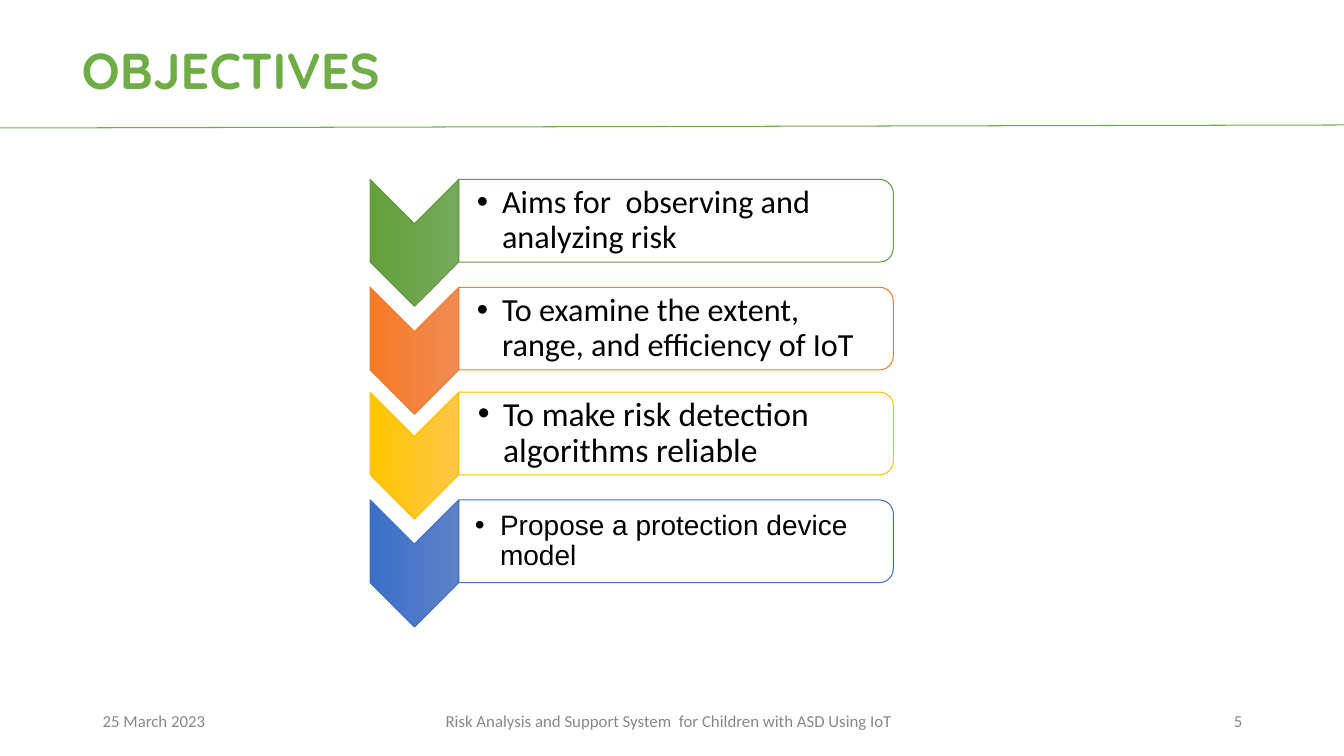
"""Build the Objectives slide: four chevron steps with their statements."""
from lxml.etree import SubElement
from pptx import Presentation
from pptx.dml.color import RGBColor
from pptx.enum.shapes import MSO_CONNECTOR, MSO_SHAPE
from pptx.enum.text import MSO_ANCHOR, PP_ALIGN
from pptx.oxml.ns import qn
from pptx.util import Inches, Pt

HEADING = "OBJECTIVES"
OBJECTIVES = [
    {"text": "Aims for  observing and analyzing risk", "top": 1.78, "size": 23,
     "font": "Calibri", "inset": 0.18, "tones": ("76A85B", "63A03A"), "edge": "659C40"},
    {"text": "To examine the extent, range, and efficiency of IoT", "top": 2.85, "size": 23,
     "font": "Calibri", "inset": 0.18, "tones": ("F08B54", "F67A26"), "edge": "ED7D31"},
    {"text": "To make risk detection algorithms reliable", "top": 3.89, "size": 24,
     "font": "Calibri", "inset": 0.19, "tones": ("FFC647", "FFC600"), "edge": "FFC000"},
    {"text": "Propose a protection device model", "top": 4.96, "size": 20,
     "font": "Arial", "inset": 0.16, "tones": ("5E81C9", "3B70C9"), "edge": "4372C3"},
]
FOOTERS = [
    ("25 March 2023", 0.92, 3, PP_ALIGN.LEFT),
    ("Risk Analysis and Support System  for Children with ASD Using IoT", 3.67, 5.93,
     PP_ALIGN.CENTER),
    ("5", 9.42, 3, PP_ALIGN.RIGHT),
]
THEME = {"accent": "70AD47", "text": "000000", "muted": "888888", "panel": "FFFFFF",
         "heading_font": "Quicksand", "body_font": "Calibri",
         "heading_size": 36, "footer_size": 12, "line": 0.75}
SLIDE_W, SLIDE_H = 13.33, 7.5
CHEVRON_LEFT, CHEVRON_W, CHEVRON_H = 3.67, 0.88, 1.26
PANEL_LEFT, PANEL_W, PANEL_H = CHEVRON_LEFT + CHEVRON_W, 4.31, 0.82
STATEMENT_W, STATEMENT_H = 4.27, 0.74
FOOTER_TOP, FOOTER_H = 6.95, 0.4


def place(part, left, top, width, height):
    part.left, part.top = Inches(left), Inches(top)
    part.width, part.height = Inches(width), Inches(height)


def write(holder, text, *, size, font, color, bold=False, align=PP_ALIGN.LEFT,
          anchor=MSO_ANCHOR.MIDDLE, insets=(0.1, 0.05, 0.1, 0.05), bullet=False):
    frame = holder.text_frame
    frame.word_wrap = True
    frame.vertical_anchor = anchor
    (frame.margin_left, frame.margin_top,
     frame.margin_right, frame.margin_bottom) = map(Inches, insets)
    paragraph = frame.paragraphs[0]
    paragraph.alignment = align
    run = paragraph.add_run()
    run.text = text
    run.font.size, run.font.name, run.font.bold = Pt(size), font, bold
    run.font.color.rgb = RGBColor.from_string(color)
    if bullet:
        paragraph.line_spacing = 0.9
        properties = paragraph.alignment is not None and paragraph._p.get_or_add_pPr()
        properties.set("marL", str(Inches(0.25)))
        properties.set("indent", str(-Inches(0.25)))
        SubElement(properties, qn("a:buFont"), typeface="Arial")
        SubElement(properties, qn("a:buChar"), char="•")


def add_turned(group, preset, left, top, width, height, edge):
    """Add a preset turned a quarter clockwise that covers the given area."""
    shift = (width - height) / 2
    turned = group.shapes.add_shape(
        preset, Inches(left + shift), Inches(top - shift), Inches(height), Inches(width))
    turned.rotation = 90
    turned.shadow.inherit = False
    turned.line.color.rgb = RGBColor.from_string(edge)
    turned.line.width = Pt(THEME["line"])
    return turned


def add_objective(slide, objective):
    group = slide.shapes.add_group_shape()
    top, edge = objective["top"], objective["edge"]

    chevron = add_turned(group, MSO_SHAPE.CHEVRON, CHEVRON_LEFT, top,
                         CHEVRON_W, CHEVRON_H, edge)
    chevron.adjustments[0] = 0.5
    chevron.fill.gradient()
    chevron.fill.gradient_angle = 270
    for stop, tone in zip(chevron.fill.gradient_stops, objective["tones"]):
        stop.color.rgb = RGBColor.from_string(tone)

    panel = add_turned(group, MSO_SHAPE.ROUND_2_SAME_RECTANGLE, PANEL_LEFT, top,
                       PANEL_W, PANEL_H, edge)
    panel.adjustments[0], panel.adjustments[1] = 0.167, 0
    panel.fill.solid()
    panel.fill.fore_color.rgb = RGBColor.from_string(THEME["panel"])
    panel_color = panel._element.spPr.find(qn("a:solidFill")).find(qn("a:srgbClr"))
    SubElement(panel_color, qn("a:alpha"), val="90000")

    statement = group.shapes.add_textbox(
        Inches(PANEL_LEFT), Inches(top + (PANEL_H - STATEMENT_H) / 2),
        Inches(STATEMENT_W), Inches(STATEMENT_H))
    write(statement, objective["text"], size=objective["size"], font=objective["font"],
          color=THEME["text"], insets=(objective["inset"], 0.02, 0.02, 0.02), bullet=True)


def main():
    deck = Presentation()
    deck.slide_width, deck.slide_height = Inches(SLIDE_W), Inches(SLIDE_H)
    slide = deck.slides.add_slide(deck.slide_layouts[5])

    heading = slide.shapes.title
    place(heading, 0.71, 0.34, 11.06, 0.7)
    write(heading, HEADING, size=THEME["heading_size"], font=THEME["heading_font"],
          color=THEME["accent"], bold=True, anchor=MSO_ANCHOR.TOP)

    rule = slide.shapes.add_connector(
        MSO_CONNECTOR.STRAIGHT, 0, Inches(1.27), Inches(SLIDE_W), Inches(1.24))
    rule.line.color.rgb = RGBColor.from_string(THEME["accent"])
    rule.line.width = Pt(THEME["line"])
    SubElement(rule._element.spPr, qn("a:effectLst"))

    for objective in OBJECTIVES:
        add_objective(slide, objective)

    for text, left, width, align in FOOTERS:
        footer = slide.shapes.add_textbox(
            Inches(left), Inches(FOOTER_TOP), Inches(width), Inches(FOOTER_H))
        write(footer, text, size=THEME["footer_size"], font=THEME["body_font"],
              color=THEME["muted"], align=align)

    deck.save("out.pptx")


if __name__ == "__main__":
    main()
